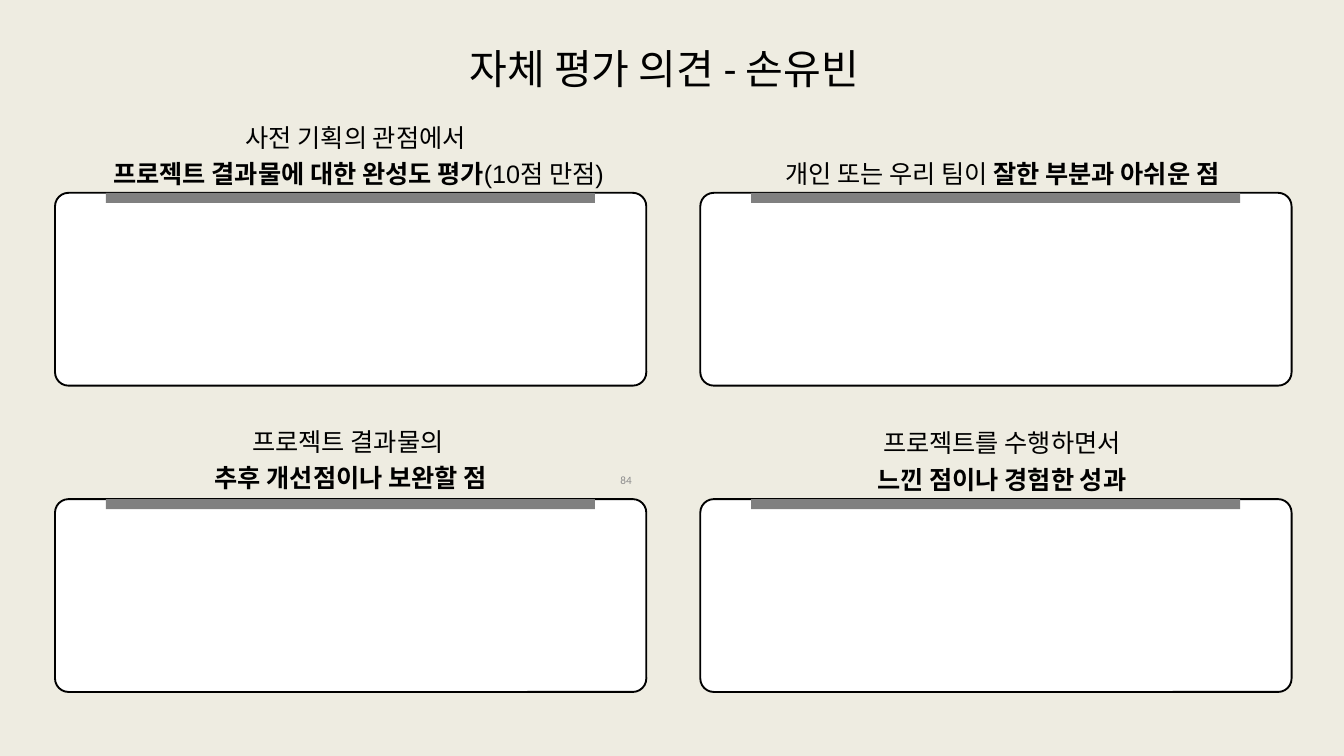
import pptx
import pptx.util
import pptx.dml.color
import pptx.enum.shapes
import pptx.enum.text

Cm = pptx.util.Cm
Pt = pptx.util.Pt
RGBColor = pptx.dml.color.RGBColor
Align = pptx.enum.text.PP_ALIGN
Anchor = pptx.enum.text.MSO_ANCHOR
Shape = pptx.enum.shapes.MSO_SHAPE

BEIGE = RGBColor(0xEE, 0xEC, 0xE1)
WHITE = RGBColor(0xFF, 0xFF, 0xFF)
BLACK = RGBColor(0x00, 0x00, 0x00)
GRAY = RGBColor(0x80, 0x80, 0x80)
PALE_GRAY = RGBColor(0x8C, 0x8C, 0x8C)

TITLE = {"name": "Calibri", "size": Pt(44)}
NUMBER = {"name": "Calibri", "size": Pt(12)}
HEADING = {"name": "Arial", "size": Pt(27)}

deck = pptx.Presentation()
deck.slide_width = Cm(50.8)
deck.slide_height = Cm(28.58)
page = deck.slides.add_slide(deck.slide_layouts[6])
page.background.fill.solid()
page.background.fill.fore_color.rgb = BEIGE


def add_text(place, lines, style, color=BLACK, align=Align.CENTER, anchor=Anchor.MIDDLE, spacing=1.0):
    box = page.shapes.add_textbox(*[Cm(length) for length in place])
    frame = box.text_frame
    frame.word_wrap = True
    frame.vertical_anchor = anchor
    for index, line in enumerate(lines):
        para = frame.add_paragraph() if index else frame.paragraphs[0]
        para.alignment = align
        para.line_spacing = spacing
        for text, bold in line:
            span = para.add_run()
            span.text = text
            for key, value in style.items():
                setattr(span.font, key, value)
            span.font.bold = bold
            span.font.color.rgb = color


def add_block(kind, place, color):
    block = page.shapes.add_shape(kind, *[Cm(length) for length in place])
    block.shadow.inherit = False
    block.fill.solid()
    block.fill.fore_color.rgb = color
    block.line.fill.background()
    return block


add_text((1.73, 1.5, 46.76, 2.16), [[("자체 평가 의견 - 손유빈", False)]], TITLE)
add_text((18.21, 17.65, 5.92, 1.02), [[("84", False)]], NUMBER, PALE_GRAY, Align.RIGHT)

for top in (7.29, 18.87):
    for left in (2.08, 26.47):
        panel = add_block(Shape.ROUNDED_RECTANGLE, (left, top, 22.35, 7.29), WHITE)
        panel.adjustments[0] = 0.07
        panel.line.color.rgb = BLACK
        panel.line.width = Pt(2)
        add_block(Shape.RECTANGLE, (left + 1.92, top, 18.49, 0.38), GRAY)

headings = [
    ((3.02, 4.27, 21.06, 2.9), 1.2, [
        [("사전 기획의 관점에서 ", False)],
        [("프로젝트 결과물에 대한 완성도 평가", True), ("(10점 만점)", False)],
    ]),
    ((27.48, 5.74, 20.8, 1.42), 1.1, [
        [("개인 또는 우리 팀이 ", False), ("잘한 부분과 아쉬운 점", True)],
    ]),
    ((3.63, 15.77, 19.25, 2.9), 1.2, [
        [("프로젝트 결과물의 ", False)],
        [("추후 개선점이나 보완할 점", True)],
    ]),
    ((28.24, 15.82, 19.25, 2.9), 1.2, [
        [("프로젝트를 수행하면서", False)],
        [("느낀 점이나 경험한 성과", True)],
    ]),
]
for place, spacing, lines in headings:
    add_text(place, lines, HEADING, anchor=Anchor.TOP, spacing=spacing)

deck.save("out.pptx")
